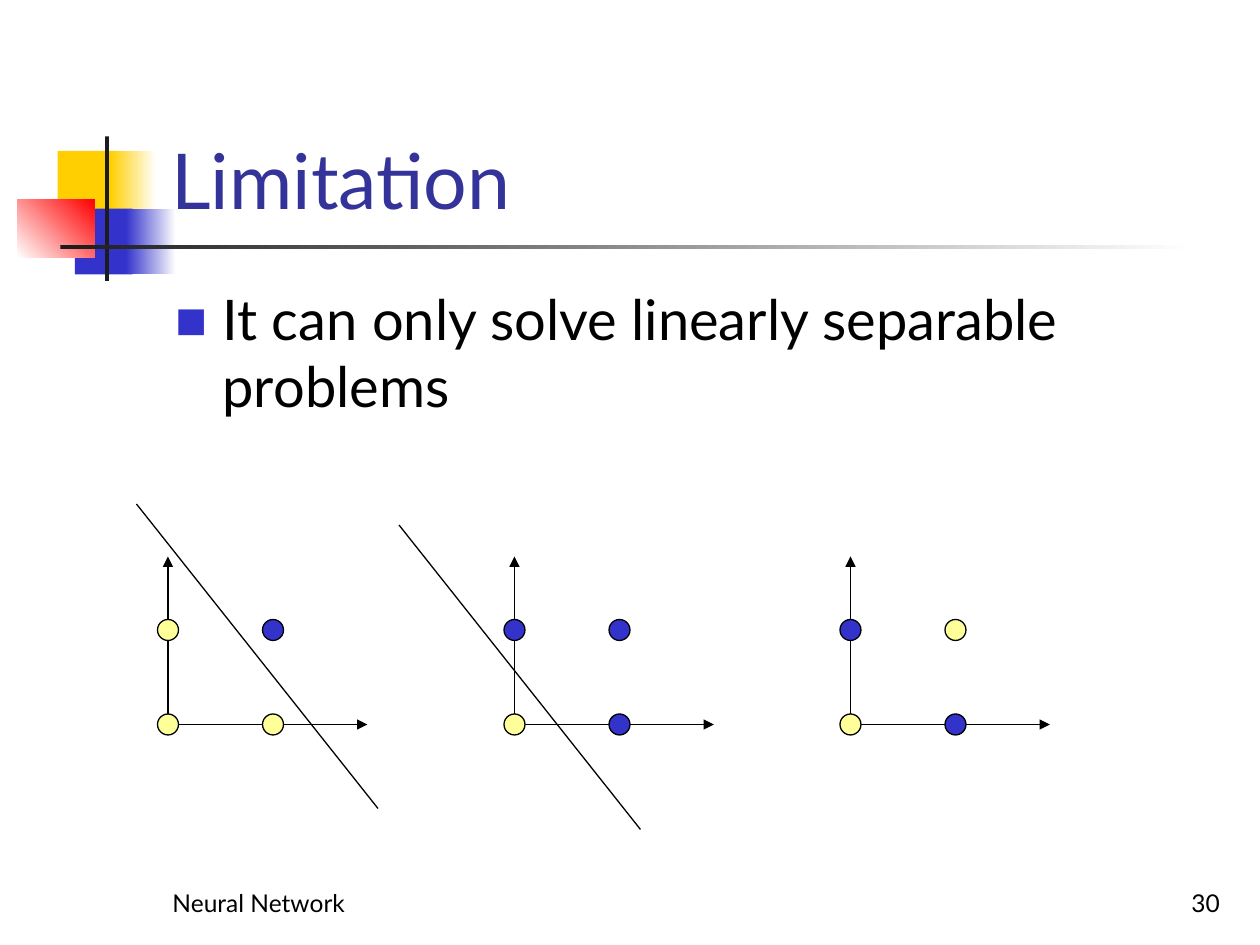
from lxml.etree import SubElement
from pptx import Presentation
from pptx.dml.color import RGBColor
from pptx.enum.shapes import MSO_CONNECTOR, MSO_SHAPE
from pptx.enum.text import MSO_ANCHOR, MSO_AUTO_SIZE, PP_ALIGN
from pptx.oxml.ns import qn
from pptx.util import Pt

PX = 9525
FONT = "Lato"
BLACK = RGBColor(0x00, 0x00, 0x00)
WHITE = RGBColor(0xFF, 0xFF, 0xFF)
CHARCOAL = RGBColor(0x1C, 0x1C, 0x1C)
GOLD = RGBColor(0xFF, 0xCF, 0x01)
RED = RGBColor(0xFF, 0x00, 0x00)
BLUE = RGBColor(0x33, 0x33, 0xCC)
NAVY = RGBColor(0x33, 0x33, 0x99)
YELLOW = RGBColor(0xFF, 0xFF, 0x99)


def to_emu(*lengths):
    """Turn px lengths into EMU."""
    return [length * PX for length in lengths]


def add_block(slide, box, color, end_color=None, angle=0):
    """Add a borderless rectangle, solid or fading to end_color."""
    shape = slide.shapes.add_shape(MSO_SHAPE.RECTANGLE, *to_emu(*box))
    shape.shadow.inherit = False
    shape.line.fill.background()
    if end_color is None:
        shape.fill.solid()
        shape.fill.fore_color.rgb = color
        return
    shape.fill.gradient()
    shape.fill.gradient_angle = angle
    for stop, stop_color, position in zip(shape.fill.gradient_stops, (color, end_color), (0, 1)):
        stop.color.rgb = stop_color
        stop.position = position


def add_decoration(slide, left, top):
    """Add the overlapping blocks and crossing rules beside the title."""
    add_block(slide, (left + 31, top + 11, 46, 50), GOLD)
    add_block(slide, (left + 71, top + 11, 35, 50), GOLD, WHITE)
    add_block(slide, (left + 44, top + 55, 44, 50), BLUE)
    add_block(slide, (left + 83, top + 55, 38, 50), BLUE, WHITE)
    add_block(slide, (left, top + 48, 59, 44), WHITE, RED, 45)
    add_block(slide, (left + 67, top, 3, 110), CHARCOAL)
    add_block(slide, (left + 33, top + 83, 864, 3), CHARCOAL, WHITE)


def format_text(shape, text, size, color, alignment=PP_ALIGN.LEFT, anchor=MSO_ANCHOR.BOTTOM):
    """Set the text of a shape and its formatting."""
    frame = shape.text_frame
    frame.text = text
    frame.word_wrap = True
    frame.auto_size = MSO_AUTO_SIZE.NONE
    frame.vertical_anchor = anchor
    paragraph = frame.paragraphs[0]
    paragraph.alignment = alignment
    paragraph.space_before = Pt(0)
    font = paragraph.runs[0].font
    font.name, font.size, font.color.rgb = FONT, Pt(size), color


def place_in_front(shape, box):
    """Move a placeholder to a box, in front of the shapes drawn so far."""
    shape.left, shape.top, shape.width, shape.height = to_emu(*box)
    shape.element.getparent().append(shape.element)


def add_title(slide, box):
    """Fill the title placeholder."""
    place_in_front(slide.shapes.title, box)
    format_text(slide.shapes.title, "Limitation", 44, NAVY)


def add_body(slide, box):
    """Fill the body placeholder with one square-bulleted point."""
    body = slide.placeholders[1]
    place_in_front(body, box)
    format_text(body, "It can only solve linearly separable problems", 32, BLACK,
                anchor=MSO_ANCHOR.TOP)
    properties = body.text_frame.paragraphs[0]._p.get_or_add_pPr()
    properties.set("marL", str(36 * PX))
    properties.set("indent", str(-36 * PX))
    bullet_color = SubElement(properties, qn("a:buClr"))
    SubElement(bullet_color, qn("a:srgbClr"), val=str(BLUE))
    SubElement(properties, qn("a:buSzPct"), val="60000")
    SubElement(properties, qn("a:buFont"), typeface=FONT)
    SubElement(properties, qn("a:buChar"), char="■")


def add_footer_text(slide, box, text, alignment):
    """Add one footer text."""
    format_text(slide.shapes.add_textbox(*to_emu(*box)), text, 14, BLACK, alignment)


def add_line(slide, start, end, arrow=False):
    """Add a thin black line, with an arrowhead at its end if asked."""
    connector = slide.shapes.add_connector(MSO_CONNECTOR.STRAIGHT, *to_emu(*start, *end))
    connector.line.color.rgb = BLACK
    connector.line.width = Pt(0.75)
    if arrow:
        SubElement(connector.line._get_or_add_ln(), qn("a:tailEnd"), type="triangle")
    SubElement(connector._element.spPr, qn("a:effectLst"))


def add_point(slide, x, y, color):
    """Add a data point centred on x, y."""
    shape = slide.shapes.add_shape(MSO_SHAPE.OVAL, *to_emu(x - 8, y - 8, 16, 16))
    shape.shadow.inherit = False
    shape.fill.solid()
    shape.fill.fore_color.rgb = color
    shape.line.color.rgb = BLACK
    shape.line.width = Pt(0.75)


def add_plot(slide, box, truth_table, separator_start=None):
    """Add axes, the four input points and an optional separating line."""
    left, top, width, height = box
    bottom = top + height
    add_line(slide, (left, bottom), (left + width, bottom), arrow=True)
    add_line(slide, (left, bottom), (left, top), arrow=True)
    for index, output in enumerate(truth_table):
        row, column = divmod(index, 2)
        add_point(slide, left + 80 * column, bottom - 72 * row, BLUE if output else YELLOW)
    if separator_start:
        x, y = left + separator_start[0], top + separator_start[1]
        add_line(slide, (x, y), (x + 184, y + 232))


def main():
    """Build and save the slide."""
    presentation = Presentation()
    presentation.slide_width, presentation.slide_height = to_emu(960, 720)
    slide = presentation.slides.add_slide(presentation.slide_layouts[1])
    add_decoration(slide, 13, 104)
    add_footer_text(slide, (122, 656, 200, 48), "Neural Network", PP_ALIGN.LEFT)
    add_footer_text(slide, (739, 656, 200, 48), "30", PP_ALIGN.RIGHT)
    add_title(slide, (121, 22, 818, 154))
    add_body(slide, (124, 212, 816, 432))
    plots = (
        (128, (0, 0, 0, 1), (-24, -40)),
        (392, (0, 1, 1, 1), (-88, -24)),
        (648, (0, 1, 1, 0), None),
    )
    for left, truth_table, separator_start in plots:
        add_plot(slide, (left, 424, 152, 128), truth_table, separator_start)
    presentation.save("out.pptx")


if __name__ == "__main__":
    main()
